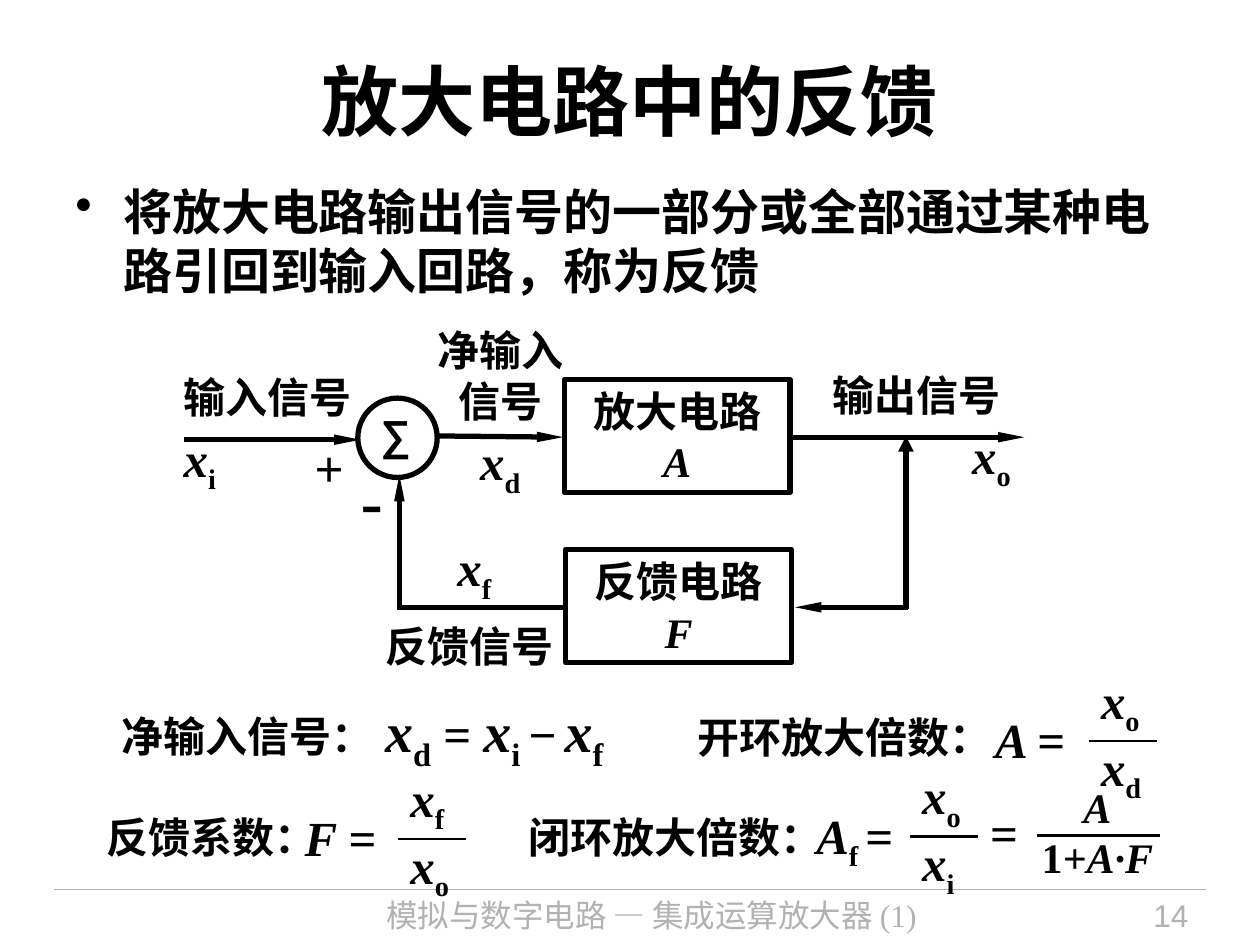
from collections import namedtuple

from lxml import etree
from pptx import Presentation
from pptx.dml.color import RGBColor
from pptx.enum.shapes import MSO_CONNECTOR as Connector, MSO_SHAPE as Shape
from pptx.enum.text import MSO_ANCHOR as Anchor, MSO_AUTO_SIZE as AutoSize, PP_ALIGN as Align
from pptx.oxml.ns import qn
from pptx.util import Inches, Pt

CELL = 0.1
BLACK, GREY = "000000", "B2B2B2"
SERIF, SANS = "Times New Roman", "Arial"

Box = namedtuple("Box", "col row cols rows")
Run = namedtuple("Run", "text italic low size", defaults=(False, False, None))
Para = namedtuple("Para", "runs size align before", defaults=(24, Align.LEFT, 0))


def grid(cells):
    return Inches(cells * CELL)


def within(box, col, row, cols, rows):
    return Box(box.col + col, box.row + row, cols, rows)


def colour(hex_value):
    return RGBColor.from_string(hex_value)


def symbol(base, index, size=None):
    return [Run(base, True, size=size), Run(index, low=True, size=size)]


def plain(text, size=24, align=Align.LEFT, italic=False):
    return Para([Run(text, italic)], size, align)


def write(frame, paras, font=SERIF, hex_value=BLACK, bold=True):
    for index, para in enumerate(paras):
        paragraph = frame.paragraphs[0] if index == 0 else frame.add_paragraph()
        paragraph.alignment = para.align
        if para.before:
            paragraph.space_before = Pt(para.before)
        paragraph.font.name = font
        paragraph.font.size = Pt(para.size)
        paragraph.font.bold = bold
        paragraph.font.color.rgb = colour(hex_value)
        for part in para.runs:
            run = paragraph.add_run()
            run.text = part.text
            if part.italic:
                run.font.italic = True
            if part.size:
                run.font.size = Pt(part.size)
            if part.low:
                run._r.get_or_add_rPr().set("baseline", "-25000")


def add_text(slide, box, paras, wrap=True, **style):
    shape = slide.shapes.add_textbox(*map(grid, box))
    shape.text_frame.word_wrap = wrap
    write(shape.text_frame, paras, **style)
    return shape


def add_line(slide, box, start, end, width=3, hex_value=BLACK, arrow=None):
    points = (box.col + start[0], box.row + start[1], box.col + end[0], box.row + end[1])
    line = slide.shapes.add_connector(Connector.STRAIGHT, *map(grid, points))
    line.line.width = Pt(width)
    line.line.color.rgb = colour(hex_value)
    if arrow:
        breadth, length = arrow
        etree.SubElement(line.line._get_or_add_ln(), qn("a:tailEnd"),
                         type="triangle", w=breadth, len=length)
    etree.SubElement(line._element.spPr, qn("a:effectLst"))


def add_outline(slide, kind, box, paras=()):
    shape = slide.shapes.add_shape(kind, *map(grid, box))
    shape.shadow.inherit = False
    shape.fill.background()
    shape.line.color.rgb = colour(BLACK)
    shape.line.width = Pt(3)
    shape.text_frame.vertical_anchor = Anchor.MIDDLE
    write(shape.text_frame, paras)


def add_title(slide, box, text):
    title = slide.shapes.title
    title.left, title.top, title.width, title.height = map(grid, box)
    frame = title.text_frame
    frame.auto_size = AutoSize.NONE
    frame.vertical_anchor = Anchor.MIDDLE
    write(frame, [plain(text, 44, Align.CENTER)], font=SANS)


def add_definition(slide, box, text):
    shape = slide.shapes.add_textbox(*map(grid, box))
    frame = shape.text_frame
    frame.word_wrap = True
    properties = frame.paragraphs[0]._p.get_or_add_pPr()
    properties.set("marL", str(Inches(0.38)))
    properties.set("indent", str(Inches(-0.38)))
    etree.SubElement(properties, qn("a:buChar"), char="•")
    write(frame, [plain(text, 28)], font=SANS)


def add_footer(slide, box, text, number):
    add_line(slide, box, (0, 0), (box.cols, 0), 0.75, GREY)
    add_text(slide, within(box, 20.6, 0, 53.6, box.rows), [plain(text, 18, Align.CENTER)],
             hex_value=GREY, bold=False)
    add_text(slide, within(box, 77.7, 0, 13.3, box.rows), [plain(number, 18, Align.RIGHT)],
             font=SANS, hex_value=GREY, bold=False)


def add_feedback_loop(slide, box):
    for col, row, name, letter in ((31.2, 4.8, "放大电路", "A"), (31.3, 18.3, "反馈电路", "F")):
        add_outline(slide, Shape.RECTANGLE, within(box, col, row, 17.9, 9),
                    [plain(name, align=Align.CENTER),
                     plain(letter, align=Align.CENTER, italic=True)])

    slim, regular = ("sm", "lg"), ("med", "med")
    for start, end, arrow in (
        ((1, 9.6), (15, 9.6), slim),
        ((21, 9.3), (31.1, 9.4), slim),
        ((49, 9.4), (67.7, 9.4), slim),
        ((58.3, 23), (58.3, 9.3), regular),
        ((58.5, 22.9), (49.5, 22.9), slim),
        ((31.4, 22.9), (17.9, 22.9), None),
        ((18.1, 22.9), (18.1, 12.4), slim),
    ):
        add_line(slide, box, start, end, arrow=arrow)

    left, centre, right = Align.LEFT, Align.CENTER, Align.RIGHT
    for col, row, cols, name, index, name_align, index_align in (
        (0, 3.7, 16.1, "输入信号", "i", left, left),
        (19.8, 0, 12.6, "净输入 信号", "d", centre, centre),
        (51.5, 3.5, 16.1, "输出信号", "o", left, right),
    ):
        add_text(slide, within(box, col, row, cols, 10.8),
                 [plain(name, align=name_align),
                  Para(symbol("x", index), 28, index_align, 3.5)])
    add_text(slide, within(box, 16, 16.9, 16.1, 11.6),
             [Para(symbol("x", "f"), 28, centre), Para([Run("反馈信号")], 24, left, 9)])

    add_outline(slide, Shape.OVAL, within(box, 14.8, 6.3, 6.3, 6.3))
    for sign, place, size, bold in (
        ("+", (10.4, 8.9, 4.2, 5.7), 28, False),
        ("-", (14, 10.6, 3.8, 7.7), 40, False),
        ("∑", (15.6, 6.6, 4.4, 5), 24, True),
    ):
        add_text(slide, within(box, *place), [plain(sign, size, centre)],
                 wrap=False, font=SANS, bold=bold)


def add_fraction(slide, box, lead, top, bottom):
    add_text(slide, within(box, 0, 3.1, 9.5, 6.3), [Para(lead, 28)])
    add_text(slide, within(box, 8.4, 0, 6.3, 11.6),
             [Para(symbol(*top), 28), Para(symbol(*bottom), 28)])
    add_line(slide, box, (8.4, 6.1), (13.8, 6.1), 1.5)


def add_closed_loop_result(slide, box):
    add_text(slide, within(box, 0, 1.7, 4.7, 5.7), [plain("=", 28)])
    add_text(slide, within(box, 3.3, 0, 12.4, 9.6),
             [plain("A", align=Align.CENTER, italic=True),
              Para([Run("1"), Run("+A·F", True)], align=Align.CENTER)])
    add_line(slide, box, (4.7, 4.8), (14.5, 4.8), 1.5)


def add_formulas(slide, box):
    difference = [Run("净输入信号："), Run(" ", size=28), *symbol("x", "d", 32),
                  Run(" = ", size=28), *symbol("x", "i ", 32), Run("−", size=28),
                  Run(" ", low=True, size=32), *symbol("x", "f", 32)]
    add_text(slide, within(box, 1.2, 2.1, 45.7, 7.1), [Para(difference)])

    for col, row, cols, name in ((46.9, 3.3, 25.3, "开环放大倍数："),
                                 (33.5, 11.2, 25.3, "闭环放大倍数："),
                                 (0, 11.2, 18.6, "反馈系数：")):
        add_text(slide, within(box, col, row, cols, 5), [plain(name)], wrap=False)

    for col, row, lead, top, bottom in (
        (70.5, 0, [Run("A ", True), Run("=")], "xo", "xd"),
        (56.3, 7.6, [*symbol("A", "f "), Run("=")], "xo", "xi"),
        (15.7, 7.8, [Run("F ", True), Run("=")], "xf", "xo"),
    ):
        add_fraction(slide, within(box, col, row, 14.7, 11.6), lead, top, bottom)
    add_closed_loop_result(slide, within(box, 70.1, 8.8, 15.7, 9.6))


def main():
    presentation = Presentation()
    presentation.slide_width, presentation.slide_height = grid(100), grid(75)
    slide = presentation.slides.add_slide(presentation.slide_layouts[5])
    add_footer(slide, Box(4.3, 70.6, 91.4, 4.4), "模拟与数字电路 — 集成运算放大器 (1)", "14")
    add_title(slide, Box(5, 1.7, 90, 12.5), "放大电路中的反馈")
    add_definition(slide, Box(5, 13.9, 90, 11),
                   "将放大电路输出信号的一部分或全部通过某种电路引回到输入回路，称为反馈")
    add_formulas(slide, Box(7.5, 52.7, 85.8, 19.2))
    add_feedback_loop(slide, Box(13.6, 25.3, 67.7, 28.5))
    presentation.save("out.pptx")


if __name__ == "__main__":
    main()
